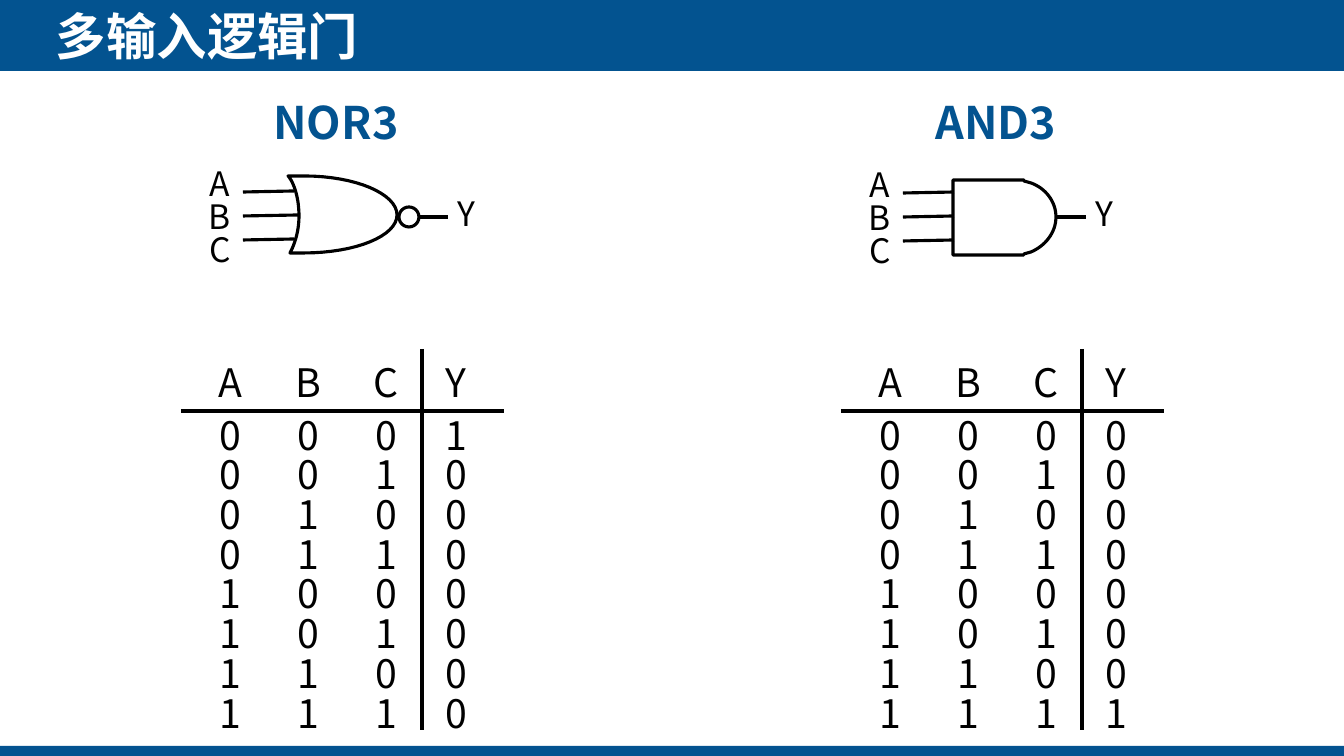
from itertools import product

from lxml.etree import SubElement
from pptx import Presentation
from pptx.dml.color import RGBColor
from pptx.enum.shapes import MSO_CONNECTOR, MSO_SHAPE
from pptx.enum.text import MSO_ANCHOR, PP_ALIGN
from pptx.oxml.ns import qn
from pptx.util import Emu, Pt

PX = 914400 / 100.8
FONT = "Noto Sans CJK SC"
BLUE, BLACK, WHITE = "035390", "000000", "FFFFFF"
rgb = RGBColor.from_string


def add_text(shapes, text, x, y, w, h, size, color=BLACK, bold=False):
    s = shapes.add_textbox(*[Emu(round(v * PX)) for v in (x, y, w, h)])
    tf = s.text_frame
    tf.word_wrap = True
    p = tf.paragraphs[0]
    p.text = text
    p.alignment = PP_ALIGN.CENTER
    p.font.name, p.font.size, p.font.bold = FONT, Pt(size), bold
    p.font.color.rgb = rgb(color)
    # East Asian typeface for Chinese text
    SubElement(p._p.pPr.find(qn("a:defRPr")), qn("a:ea"), typeface=FONT)
    return tf


def add_line(shapes, x1, y1, x2, y2):
    s = shapes.add_connector(MSO_CONNECTOR.STRAIGHT,
                             *[Emu(round(v * PX)) for v in (x1, y1, x2, y2)])
    s.line.color.rgb = rgb(BLACK)
    s.line.width = Pt(2.25)
    SubElement(s._element.spPr, qn("a:effectLst"))


prs = Presentation()
prs.slide_width, prs.slide_height = Emu(round(1344 * PX)), Emu(round(756 * PX))
slide = prs.slides.add_slide(prs.slide_layouts[6])

# Header and footer bars
for y, h in ((0, 71), (746, 10)):
    s = slide.shapes.add_shape(MSO_SHAPE.RECTANGLE, 0, Emu(round(y * PX)),
                               prs.slide_width, Emu(round(h * PX)))
    s.shadow.inherit = False
    s.fill.solid()
    s.fill.fore_color.rgb = rgb(BLUE)
    s.line.fill.background()

# Title
tf = add_text(slide.shapes, "多输入逻辑门", 56, 5, 864, 61, 36, WHITE, True)
tf.margin_left = tf.margin_right = tf.margin_top = tf.margin_bottom = 0
tf.vertical_anchor = MSO_ANCHOR.MIDDLE
tf.paragraphs[0].alignment = PP_ALIGN.LEFT

# Gate outlines: one point is a straight edge, three points are a Bezier curve
nor_outline = [
    [(304, 176)],
    [(356, 176), (397, 194), (397, 215)],
    [(397, 236), (356, 253), (304, 253)],
    [(290, 253)], [(292, 249)],
    [(296, 240), (299, 229), (299, 216)],
    [(299, 200), (295, 185), (289, 177)],
    [(288, 176)],
]
and_outline = [
    [(293, 180)], [(364, 180)], [(364, 181)], [(371, 183)],
    [(385, 188), (396, 201), (396, 217)],
    [(396, 233), (385, 246), (371, 252)],
    [(364, 254)], [(364, 255)], [(293, 255)],
]

# name, left offset, input drop, middle input end, output start, output label, outline, logic
gates = [
    ("NOR3", 0, 0, 298, 418, 443, nor_outline, lambda bits: not any(bits)),
    ("AND3", 660, 1, 294, 396, 421, and_outline, all),
]
columns = (207, 285, 363, 433)
STEPS = 16

for name, dx, drop, middle_end, out_x, label_x, outline, logic in gates:
    sp = slide.shapes.add_group_shape().shapes
    add_text(sp, name, 256 + dx, 90, 160, 64, 32, BLUE, True)

    # Inputs and output
    for i, (label, end) in enumerate(zip("ABC", (294, middle_end, 294))):
        add_text(sp, label, 197 + dx, 158 + drop + 33 * i, 46, 50, 24)
        y = 192 + drop + 24 * i
        add_line(sp, 243 + dx, y, end + dx, y - 1)
    add_line(sp, out_x + dx, 217, out_x + 30 + dx, 217)
    add_text(sp, "Y", label_x + dx, 188, 46, 50, 24)

    # Gate body
    points = []
    for segment in outline:
        if len(segment) == 1:
            points += segment
            continue
        a, (b, c, d) = points[-1], segment
        for k in range(1, STEPS + 1):
            t = k / STEPS
            u = 1 - t
            points.append(tuple(
                u**3 * a[n] + 3 * u * u * t * b[n] + 3 * u * t * t * c[n] + t**3 * d[n]
                for n in (0, 1)))
    points = [((x + dx) * PX, y * PX) for x, y in points]
    builder = sp.build_freeform(*points[0])
    builder.add_line_segments(points[1:], close=True)
    bodies = [builder.convert_to_shape()]
    if name == "NOR3":
        bodies.append(sp.add_shape(MSO_SHAPE.OVAL,
                                   *[Emu(round(v * PX)) for v in (399, 207, 20, 20)]))
    for s in bodies:
        s.shadow.inherit = False
        s.fill.background()
        s.line.color.rgb = rgb(BLACK)
        s.line.width = Pt(2.25)

    # Truth table
    add_line(sp, 181 + dx, 411, 504 + dx, 411)
    add_line(sp, 422 + dx, 349, 422 + dx, 730)
    for x, label in zip(columns, "ABCY"):
        add_text(sp, label, x + dx, 353, 46, 58, 28)
    for i, bits in enumerate(product((0, 1), repeat=3)):
        for x, value in zip(columns, (*bits, int(logic(bits)))):
            add_text(sp, str(value), x + dx, 406 + 278 * i // 7, 46, 58, 28)

prs.save("out.pptx")
